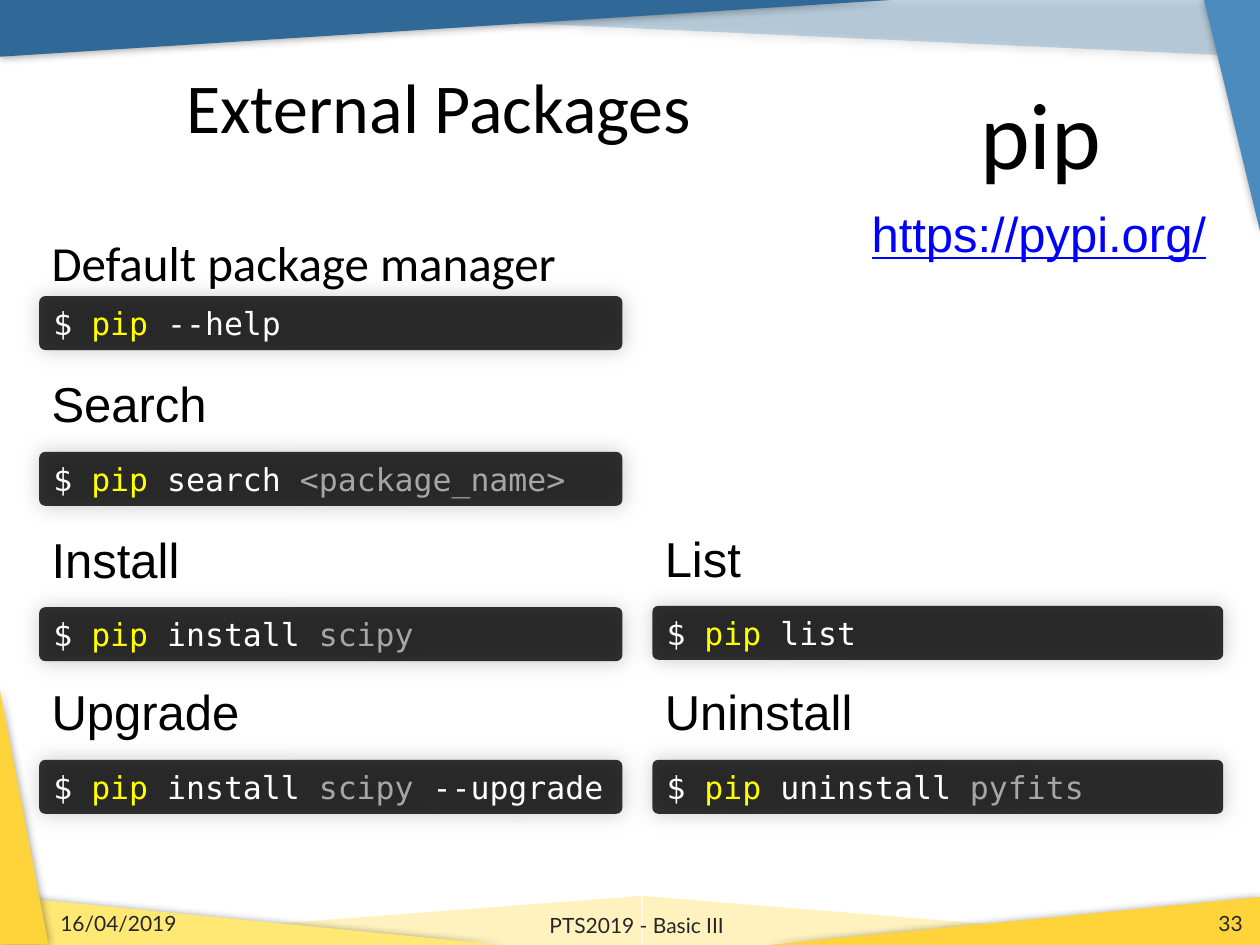
from dataclasses import dataclass

from pptx import Presentation
from pptx.dml.color import RGBColor
from pptx.enum.shapes import MSO_SHAPE as Preset
from pptx.enum.text import MSO_ANCHOR as Anchor, MSO_AUTO_SIZE as AutoSize, PP_ALIGN as Align
from pptx.oxml import parse_xml
from pptx.oxml.ns import nsdecls, qn
from pptx.util import Pt


@dataclass(frozen=True)
class Theme:
    black: str = "000000"
    white: str = "FFFFFF"
    command: str = "FFFF00"
    argument: str = "A6A6A6"
    link: str = "0000FF"
    footer: str = "262626"
    dark_blue: str = "306998"
    blue: str = "4B8BBE"
    yellow: str = "FFD43B"
    light_yellow: str = "FFE873"
    pale_yellow: str = "FFF2BF"
    heading_font: str = "Calibri"
    body_font: str = "Arial"
    code_font: str = "DejaVu Sans Mono"
    footer_font: str = "Lato"
    title_size: int = 40
    tool_size: int = 54
    label_size: int = 28
    code_size: int = 18
    footer_size: int = 12


THEME = Theme()


def paint(shape, color, opacity=100, shadow=None):
    shape.fill.solid()
    shape.fill.fore_color.rgb = RGBColor.from_string(color)
    shape.line.fill.background()
    shape.shadow.inherit = False
    if opacity < 100:
        shape.fill._xPr.find(".//" + qn("a:srgbClr")).append(
            parse_xml(f'<a:alpha {nsdecls("a")} val="{opacity * 1000}"/>'))
    if shadow:
        blur, strength = shadow
        shape._element.spPr.find(qn("a:effectLst")).append(parse_xml(
            f'<a:outerShdw {nsdecls("a")} blurRad="{Pt(blur)}" dist="0" dir="0" algn="ctr" '
            f'rotWithShape="0"><a:srgbClr val="{THEME.black}">'
            f'<a:alpha val="{strength * 1000}"/></a:srgbClr></a:outerShdw>'))


def write_runs(paragraph, parts, font, size):
    for text, color in parts:
        run = paragraph.add_run()
        run.text = text
        run.font.name = font
        run.font.size = Pt(size)
        run.font.color.rgb = RGBColor.from_string(color)


def add_text(slide, box, text, font, size, color=THEME.black, align=Align.LEFT,
             anchor=Anchor.TOP, spacing=None, wrap=True):
    frame = slide.shapes.add_textbox(*map(Pt, box)).text_frame
    frame.word_wrap = wrap
    frame.vertical_anchor = anchor
    paragraph = frame.paragraphs[0]
    paragraph.alignment = align
    if spacing:
        paragraph.line_spacing = spacing
    write_runs(paragraph, [(text, color)], font, size)
    return paragraph


def add_wedge(slide, box, apex, rotation, color, opacity=100, shadow=True):
    wedge = slide.shapes.add_shape(Preset.ISOSCELES_TRIANGLE, *map(Pt, box))
    wedge.adjustments[0] = apex
    wedge.rotation = rotation
    paint(wedge, color, opacity, (5, 40) if shadow else None)


def add_border(slide):
    add_wedge(slide, (9.4, 0, 709.2, 32.4), 0, 180, THEME.blue, opacity=30)
    add_wedge(slide, (367.2, 512, 344.2, 28), 0, 0, THEME.pale_yellow, shadow=False)
    add_wedge(slide, (-2.9, 512, 369.4, 28), 1, 0, THEME.pale_yellow, shadow=False)
    add_wedge(slide, (0, 512, 286.6, 28), 0, 0, THEME.light_yellow)
    add_wedge(slide, (439.2, 512.6, 280.8, 27.4), 1, 0, THEME.yellow)
    add_wedge(slide, (0, 0, 509, 32.4), 1, 180, THEME.dark_blue)
    add_wedge(slide, (637.2, 50.4, 133.9, 32.4), 1, 270, THEME.blue)
    add_wedge(slide, (-59.8, 452.2, 146.9, 28), 1, 90, THEME.yellow)


def add_header(slide):
    add_text(slide, (99.4, 31.7, 584.6, 56.9), "External Packages",
             THEME.heading_font, THEME.title_size, anchor=Anchor.MIDDLE)
    add_text(slide, (427.7, 46.8, 334, 66.2), "pip", THEME.heading_font,
             THEME.tool_size, align=Align.CENTER, spacing=0.9)
    link = add_text(slide, (491, 113, 208, 41), "https://pypi.org/", THEME.body_font,
                    THEME.label_size, THEME.link, wrap=False)
    link.runs[0].font.underline = True


def add_footer(slide):
    items = [
        ((27.4, 519, 167.8, 17), "16/04/2019", Align.LEFT),
        ((249.8, 514, 228.2, 28.8), "PTS2019 - Basic III", Align.CENTER),
        ((549.4, 519, 167.8, 17), "33", Align.RIGHT),
    ]
    for box, text, align in items:
        add_text(slide, box, text, THEME.footer_font, THEME.footer_size,
                 THEME.footer, align, Anchor.MIDDLE)


def add_command(slide, box, parts):
    bar = slide.shapes.add_shape(Preset.ROUNDED_RECTANGLE, *map(Pt, box))
    bar.adjustments[0] = 0.11
    paint(bar, THEME.black, opacity=80, shadow=(12, 25))
    frame = bar.text_frame
    frame.word_wrap = True
    frame.auto_size = AutoSize.SHAPE_TO_FIT_TEXT
    frame.vertical_anchor = Anchor.TOP
    paragraph = frame.paragraphs[0]
    paragraph.alignment = Align.LEFT
    write_runs(paragraph, [("$ ", THEME.white), *parts], THEME.code_font, THEME.code_size)


def add_section(slide, box, label, parts):
    left, top, width, height = box
    bar_height = 30.8
    add_text(slide, (left, top, width, 41), label, THEME.body_font, THEME.label_size)
    add_command(slide, (left, top + height - bar_height, width, bar_height), parts)


def add_commands(slide):
    left, right, left_width, right_width, height = 22.4, 372.8, 333.2, 326.2, 78.8
    search_top, install_top, upgrade_top = 210.2, 299, 386.2
    pip = ("pip ", THEME.command)

    add_text(slide, (left, 133.2, 487.4, 38.2), "Default package manager",
             THEME.heading_font, THEME.label_size, spacing=0.9)
    add_command(slide, (left, 169.2, left_width, 30.8),
                [("pip", THEME.command), (" --help", THEME.white)])

    sections = [
        (left, search_top, left_width, "Search",
         [("search ", THEME.white), ("<package_name>", THEME.argument)]),
        (left, install_top, left_width, "Install",
         [("install ", THEME.white), ("scipy", THEME.argument)]),
        (right, install_top - 0.8, right_width, "List", [("list", THEME.white)]),
        (right, upgrade_top, right_width, "Uninstall",
         [("uninstall ", THEME.white), ("pyfits", THEME.argument)]),
        (left, upgrade_top, left_width, "Upgrade",
         [("install ", THEME.white), ("scipy ", THEME.argument), ("--upgrade", THEME.white)]),
    ]
    for x, top, width, label, parts in sections:
        add_section(slide, (x, top, width, height), label, [pip, *parts])


def main():
    presentation = Presentation()
    presentation.slide_width = Pt(720)
    presentation.slide_height = Pt(540)
    slide = presentation.slides.add_slide(presentation.slide_layouts[6])
    add_border(slide)
    add_header(slide)
    add_footer(slide)
    add_commands(slide)
    presentation.save("out.pptx")


if __name__ == "__main__":
    main()
